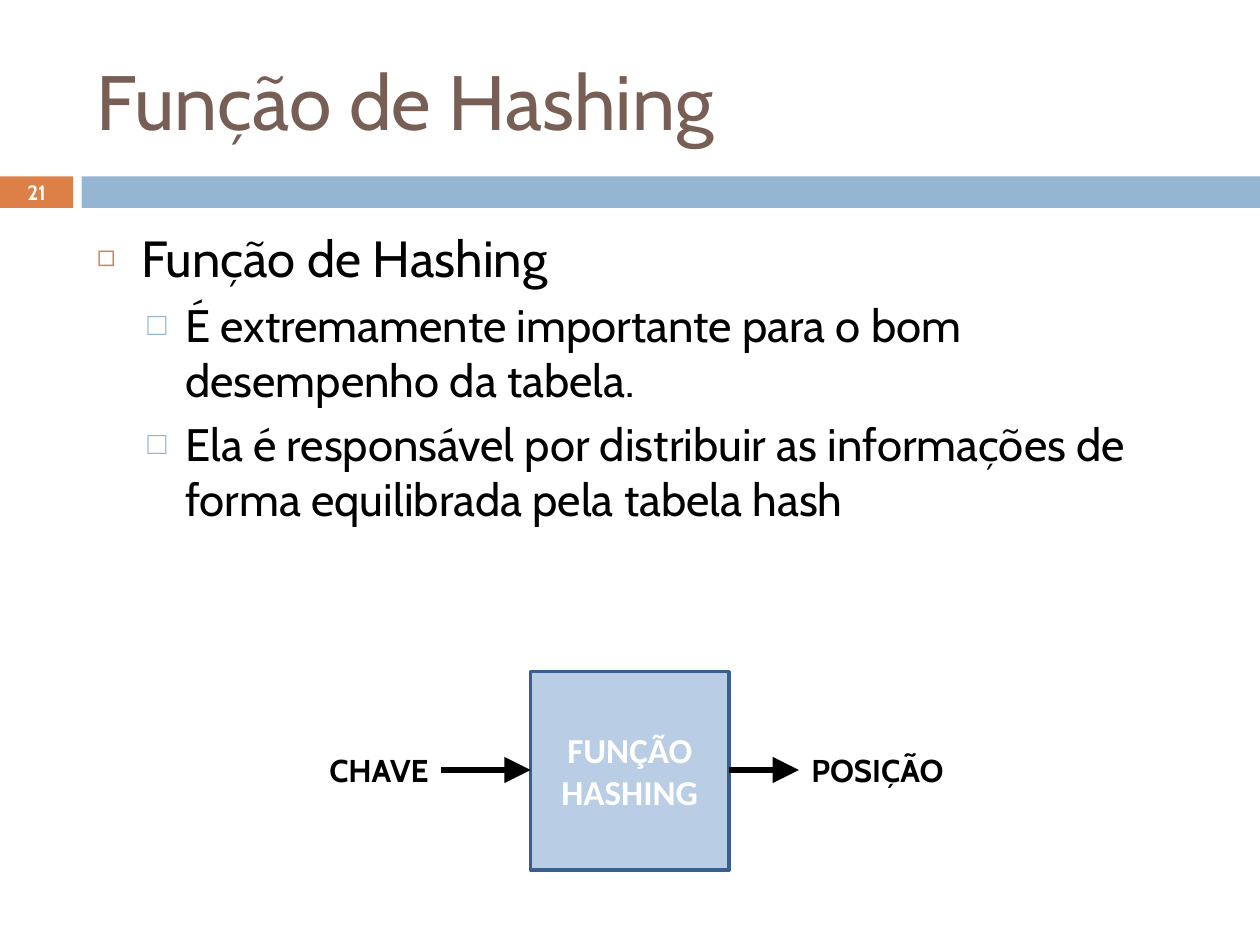
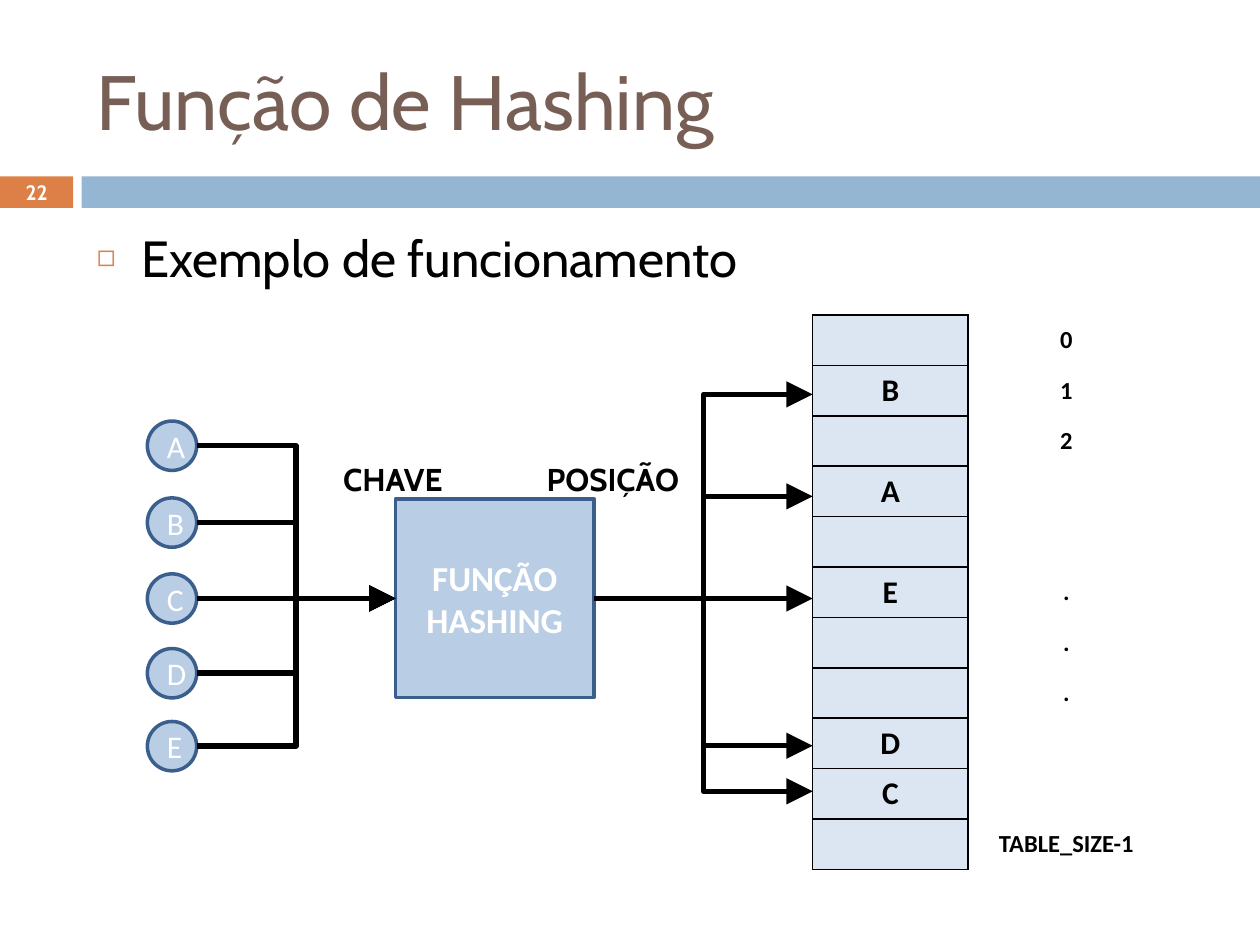
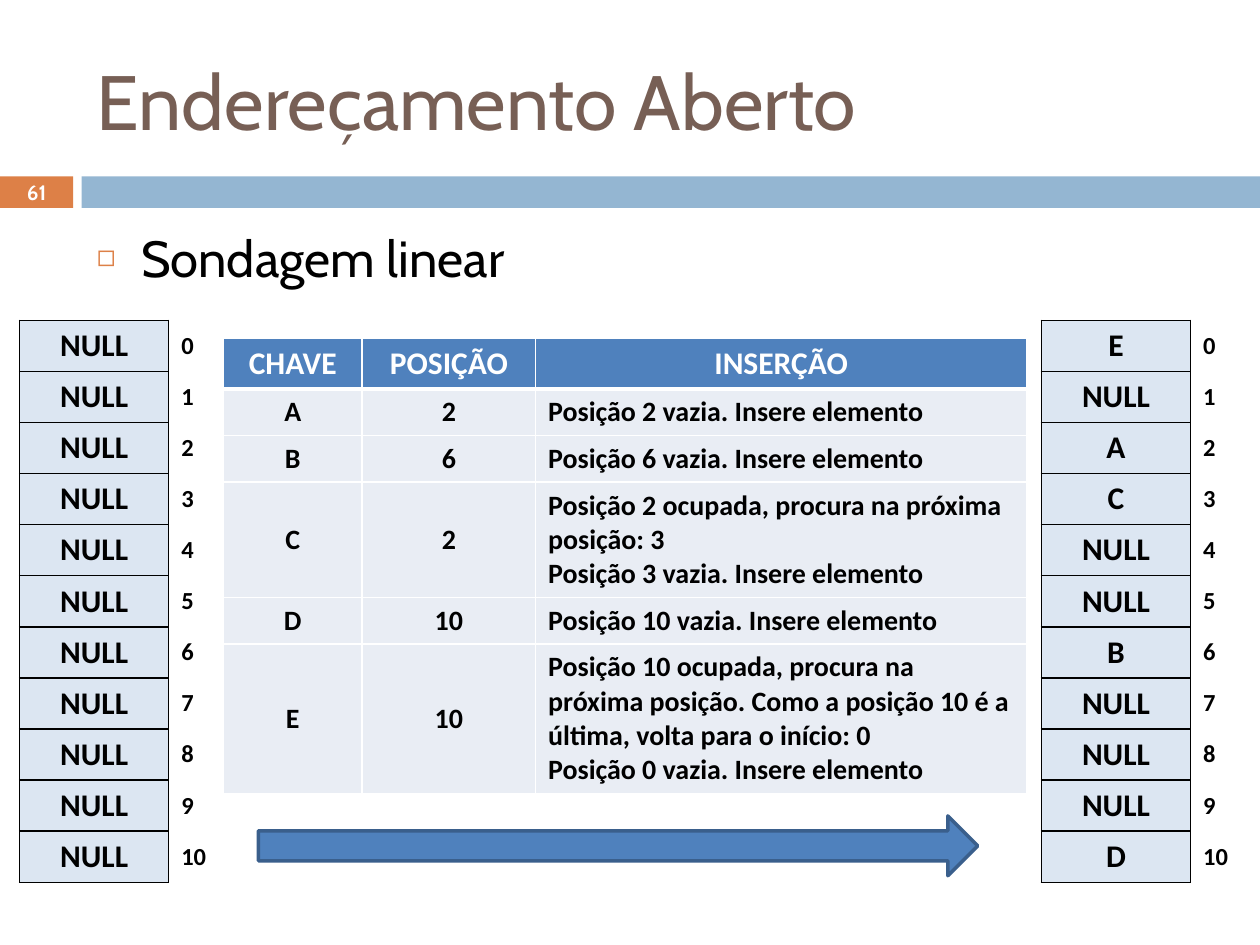
from pptx import Presentation
from pptx import util as u
from pptx.dml import color
from pptx.enum import shapes, text
from pptx.oxml import ns, parse_xml

Pt = u.Pt
RGBColor = color.RGBColor
SHAPE = shapes.MSO_SHAPE
LEFT, CENTER, RIGHT = text.PP_ALIGN.LEFT, text.PP_ALIGN.CENTER, text.PP_ALIGN.RIGHT
MIDDLE, TOP = text.MSO_ANCHOR.MIDDLE, text.MSO_ANCHOR.TOP

BLACK = RGBColor(0x00, 0x00, 0x00)
WHITE = RGBColor(0xFF, 0xFF, 0xFF)
BROWN = RGBColor(0x77, 0x5F, 0x55)
ORANGE = RGBColor(0xDD, 0x80, 0x47)
SKY = RGBColor(0x94, 0xB6, 0xD2)
PALE = RGBColor(0xB9, 0xCD, 0xE5)
NAVY = RGBColor(0x3A, 0x5F, 0x8C)
BLUE = RGBColor(0x4F, 0x81, 0xBD)
ICE = RGBColor(0xDC, 0xE6, 0xF2)
MIST = RGBColor(0xE9, 0xED, 0xF4)
BULLETS = [(25.2, -25.2, ORANGE, 60, "◻"), (50.4, -21.6, SKY, 70, "□")]


def write(frame, words, face, size, ink, bold=False, align=LEFT):
    for number, line in enumerate(words.split("\n")):
        para = frame.add_paragraph() if number else frame.paragraphs[0]
        para.alignment = align
        span = para.add_run()
        span.text = line
        for name, value in {"name": face, "size": Pt(size), "bold": bold}.items():
            setattr(span.font, name, value)
        span.font.color.rgb = ink


def draw(page, kind, left, top, width, height, fill, edge=None):
    shape = page.shapes.add_shape(kind, Pt(left), Pt(top), Pt(width), Pt(height))
    shape.shadow.inherit = False
    shape.fill.solid()
    shape.fill.fore_color.rgb = fill
    if edge is None:
        shape.line.fill.background()
    else:
        shape.line.color.rgb = edge
        shape.line.width = Pt(2)
    return shape


deck = Presentation()
deck.slide_width, deck.slide_height = Pt(720), Pt(540)
layout = deck.slide_layouts[1]
for holder in list(layout.placeholders)[2:]:
    holder.element.getparent().remove(holder.element)

contents = [
    ("Função de Hashing", "21", [
        (0, "Função de Hashing"),
        (1, "É extremamente importante para o bom desempenho da tabela."),
        (1, "Ela é responsável por distribuir as informações de forma equilibrada pela tabela hash"),
    ]),
    ("Função de Hashing", "22", [(0, "Exemplo de funcionamento")]),
    ("Endereçamento Aberto", "61", [(0, "Sondagem linear")]),
]
pages = []
for heading, number, items in contents:
    page = deck.slides.add_slide(layout)
    pages.append(page)
    title, body = page.placeholders
    for holder, top, height, anchor in ((title, 18, 77.8, MIDDLE), (body, 126, 354.2, TOP)):
        holder.left, holder.top, holder.width, holder.height = Pt(48.2), Pt(top), Pt(642.2), Pt(height)
        holder.text_frame.vertical_anchor = anchor
        holder.text_frame.auto_size = text.MSO_AUTO_SIZE.NONE
    write(title.text_frame, heading, "Cabin", 44, BROWN)

    for order, (level, words) in enumerate(items):
        para = body.text_frame.add_paragraph() if order else body.text_frame.paragraphs[0]
        para.level = level
        margin, indent, tint, scale, sign = BULLETS[level]
        props = para._p.get_or_add_pPr()
        props.set("marL", str(int(Pt(margin))))
        props.set("indent", str(int(Pt(indent))))
        for xml in (f'<a:buClr {ns.nsdecls("a")}><a:srgbClr val="{tint}"/></a:buClr>',
                    f'<a:buSzPct {ns.nsdecls("a")} val="{scale}000"/>',
                    f'<a:buChar {ns.nsdecls("a")} char="{sign}"/>'):
            props.append(parse_xml(xml))
        para.space_before = Pt(5.5 if order else 0)
        span = para.add_run()
        span.text = words
        for name, value in {"name": "Cabin", "size": Pt((29, 26)[level])}.items():
            setattr(span.font, name, value)
        span.font.color.rgb = BLACK

    if page is pages[0]:
        for left, width, fill in ((0, 41.8, ORANGE), (46.6, 673.4, SKY)):
            band = draw(page, SHAPE.RECTANGLE, left, 100.8, width, 18, fill)
            layout.shapes.element.append(band.element)

    box = page.shapes.add_textbox(Pt(0), Pt(100.1), Pt(41.8), Pt(19.4))
    box.text_frame.word_wrap = True
    box.text_frame.vertical_anchor = MIDDLE
    write(box.text_frame, number, "Cabin", 11.9, WHITE, True, CENTER)

intro, example, probing = pages

for page, left, top, key_at, place_at in (
    (intro, 303.2, 383.8, (121.7, 425.5), (456.5, 425.5)),
    (example, 226, 285.1, (129.6, 259.2), (305.3, 259.2)),
):
    square = draw(page, SHAPE.RECTANGLE, left, top, 113.4, 113.4, PALE, NAVY)
    write(square.text_frame, "FUNÇÃO HASHING", "Calibri", 20, WHITE, True, CENTER)
    for words, (x, y), align in (("CHAVE", key_at, RIGHT), ("POSIÇÃO", place_at, LEFT)):
        box = page.shapes.add_textbox(Pt(x), Pt(y), Pt(130.3), Pt(29.1))
        box.text_frame.word_wrap = True
        box.text_frame.auto_size = text.MSO_AUTO_SIZE.SHAPE_TO_FIT_TEXT
        write(box.text_frame, words, "Cabin", 18, BLACK, True, align)

HUB = 342
arrows = [(intro, 252, 440, 303.2, 440), (intro, 416.6, 440, 456.5, 440)]
for letter, y in zip("ABCDE", (254.7, 298.6, HUB, 384.7, 426.4)):
    circle = draw(example, SHAPE.OVAL, 84.2, y - 14.1, 28.2, 28.2, PALE, NAVY)
    write(circle.text_frame, letter, "Calibri", 18, WHITE, align=CENTER)
    arrows.append((example, 112.4, y, 226, HUB))
for y in (225.4, 283.7, HUB, 426.2, 452.2):
    arrows.append((example, 339.4, HUB, 464.4, y))

for page, x1, y1, x2, y2 in arrows:
    kind = shapes.MSO_CONNECTOR.STRAIGHT if y1 == y2 else shapes.MSO_CONNECTOR.ELBOW
    arrow = page.shapes.add_connector(kind, Pt(x1), Pt(y1), Pt(x2), Pt(y2))
    arrow.line.color.rgb = BLACK
    arrow.line.width = Pt(3)
    props = arrow.element.spPr
    props.find(ns.qn("a:ln")).append(
        parse_xml(f'<a:tailEnd {ns.nsdecls("a")} type="triangle" w="lg" len="lg"/>'))
    props.append(parse_xml(f'<a:effectLst {ns.nsdecls("a")}/>'))

slots = ["", "B", "", "A", "", "E", "", "", "D", "C", ""]
labels = ["0", "1", "2", "", "", ".", ".", ".", "", "", "TABLE_SIZE-1"]
indexes = [str(index) for index in range(11)]
before = ["NULL"] * 11
after = ["E", "NULL", "A", "C", "NULL", "NULL", "B", "NULL", "NULL", "NULL", "D"]
insertions = [
    ("CHAVE", "POSIÇÃO", "INSERÇÃO"),
    ("A", "2", "Posição 2 vazia. Insere elemento"),
    ("B", "6", "Posição 6 vazia. Insere elemento"),
    ("C", "2", "Posição 2 ocupada, procura na próxima posição: 3\nPosição 3 vazia. Insere elemento"),
    ("D", "10", "Posição 10 vazia. Insere elemento"),
    ("E", "10", "Posição 10 ocupada, procura na próxima posição. Como a posição 10 é a última, "
                "volta para o início: 0\nPosição 0 vazia. Insere elemento"),
]
slot_look = (ICE, 18, CENTER, "LRTB")
index_look = (WHITE, 14, LEFT, "L")
center_look = (MIST, 16, CENTER, "LRTB")
tables = [
    (example, 464.4, 180, (88.8, 112.4), [28.8] * 11, list(zip(slots, labels)),
     (slot_look, (WHITE, 14, CENTER, "L")), BLACK),
    (probing, 595.1, 183, (85.2, 39.6), [29.2] * 11, list(zip(after, indexes)),
     (slot_look, index_look), BLACK),
    (probing, 11.2, 183, (85.2, 108), [29.2] * 11, list(zip(before, indexes)),
     (slot_look, index_look), BLACK),
    (probing, 127.7, 193, (79.2, 99.2, 280.6), [29.2, 26.7, 26.7, 65.8, 26.7, 85.3], insertions,
     (center_look, center_look, (MIST, 16, LEFT, "LRTB")), WHITE),
]
for page, left, top, widths, heights, rows, looks, edge in tables:
    table = page.shapes.add_table(len(rows), len(widths), Pt(left), Pt(top),
                                  Pt(sum(widths)), Pt(sum(heights))).table
    table.first_row = rows is insertions
    table.horz_banding = False
    for column, width in zip(table.columns, widths):
        column.width = Pt(width)
    for r, row in enumerate(rows):
        table.rows[r].height = Pt(heights[r])
        for c, words in enumerate(row):
            fill, size, align, sides = looks[c]
            ink = BLACK
            if rows is insertions and r == 0:
                fill, size, align, ink = BLUE, 18, CENTER, WHITE
            cell = table.cell(r, c)
            cell.margin_top = cell.margin_bottom = Pt(3)
            cell.vertical_anchor = MIDDLE
            for side in "LRTB":
                thick = rows is insertions and (r, side) in ((0, "B"), (1, "T"))
                paint = f'<a:solidFill><a:srgbClr val="{edge}"/></a:solidFill>' if side in sides else "<a:noFill/>"
                cell._tc.get_or_add_tcPr().append(parse_xml(
                    f'<a:ln{side} {ns.nsdecls("a")} w="{int(Pt(3 if thick else 1))}">{paint}</a:ln{side}>'))
            cell.fill.solid()
            cell.fill.fore_color.rgb = fill
            if words:
                write(cell.text_frame, words, "Calibri", size, ink, True, align)

draw(probing, SHAPE.RIGHT_ARROW, 147.6, 466.2, 411.1, 34.2, BLUE, NAVY)

deck.save("out.pptx")
